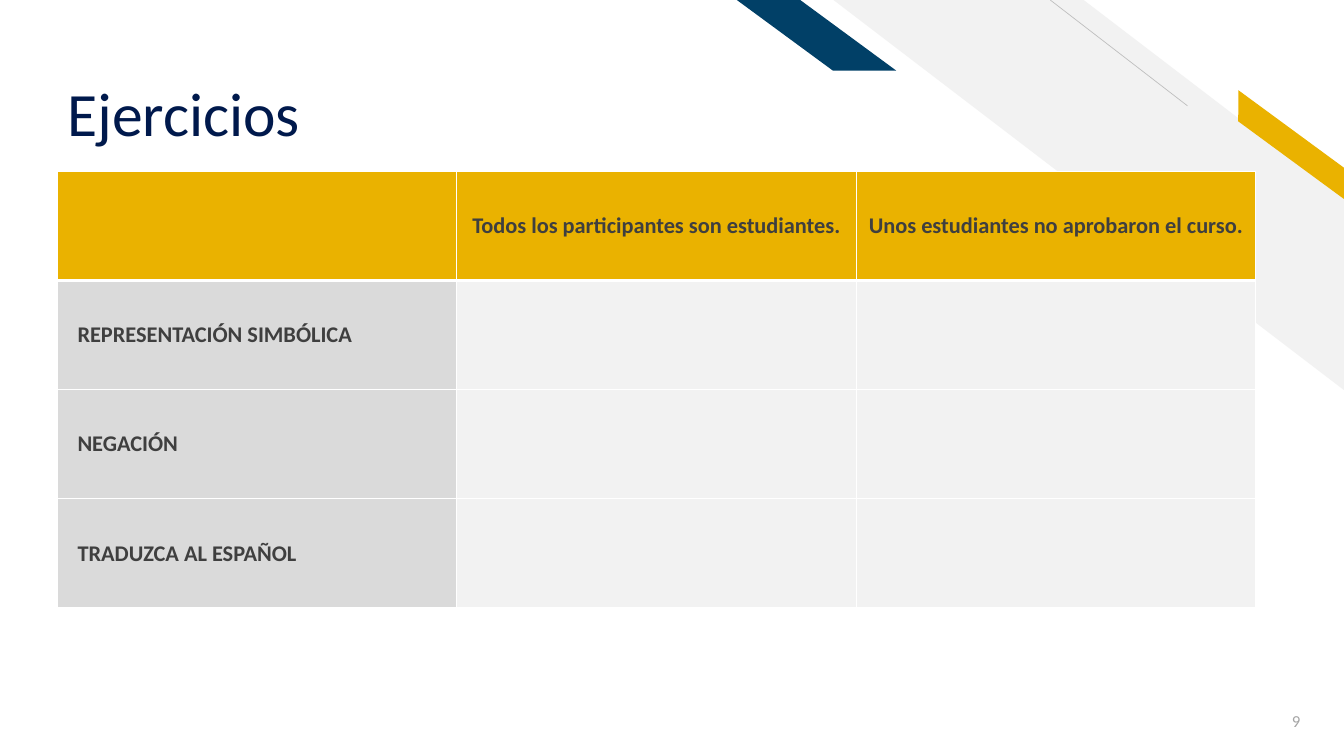
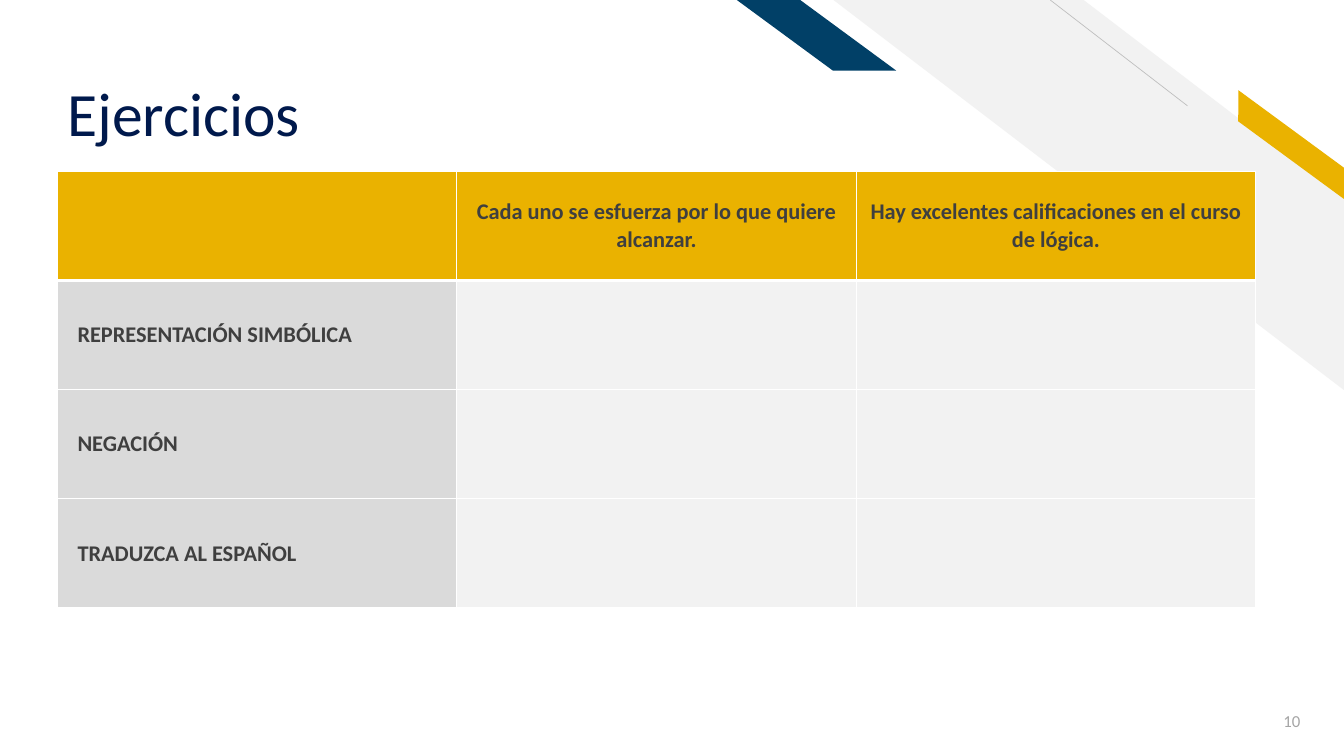
from dataclasses import dataclass

from lxml.etree import SubElement
from pptx import Presentation
from pptx.dml.color import RGBColor
from pptx.enum.shapes import MSO_CONNECTOR, MSO_SHAPE
from pptx.enum.text import MSO_ANCHOR, PP_ALIGN
from pptx.oxml.ns import qn
from pptx.slide import Slide
from pptx.table import _Cell
from pptx.text.text import TextFrame
from pptx.util import Pt


# Theme: colours and type sizes
@dataclass(frozen=True)
class Theme:
    navy: str = "00194C"
    blue: str = "014067"
    gold: str = "EAB200"
    white: str = "FFFFFF"
    pale: str = "F2F2F2"
    label_fill: str = "DADADA"
    rule: str = "BFBFBF"
    text: str = "3F3F3F"
    muted: str = "A5A5A5"
    font: str = "Calibri"
    title_size: float = 44
    table_size: float = 16
    number_size: float = 12


THEME = Theme()


@dataclass(frozen=True)
class Style:
    size: float
    color: str
    bold: bool = False


TITLE = Style(THEME.title_size, THEME.navy)
TABLE_TEXT = Style(THEME.table_size, THEME.text, bold=True)
PAGE_NUMBER = Style(THEME.number_size, THEME.muted)


@dataclass(frozen=True)
class Area:
    left: float
    top: float
    width: float
    height: float

    def points(self) -> tuple[Pt, Pt, Pt, Pt]:
        return Pt(self.left), Pt(self.top), Pt(self.width), Pt(self.height)


@dataclass(frozen=True)
class Band:
    kind: MSO_SHAPE
    area: Area
    slant: float
    color: str
    rotation: float = 0


@dataclass(frozen=True)
class Exercise:
    number: int
    statements: tuple[str, str]


# Shared layout
STRIPE = Band(MSO_SHAPE.DIAGONAL_STRIPE, Area(595.4, 0, 364.6, 278.6), 0.51, THEME.pale)
ACCENTS = (
    Band(MSO_SHAPE.PARALLELOGRAM, Area(869, 94.3, 106.6, 18), 0.72, THEME.gold, 36.3),
    Band(MSO_SHAPE.PARALLELOGRAM, Area(526.3, 0, 113.8, 50.4), 1.36, THEME.blue),
)
TITLE_AREA = Area(41, 16.6, 656, 90.7)
NUMBER_AREA = Area(877.7, 500.4, 58.3, 28.8)
TABLE_AREA = Area(41, 122.4, 856, 312)

# Content
HEADING = "Ejercicios"
ROW_LABELS = ("REPRESENTACIÓN SIMBÓLICA", "NEGACIÓN", "TRADUZCA AL ESPAÑOL")
EXERCISES = (
    Exercise(9, (
        "Todos los participantes son estudiantes.",
        "Unos estudiantes no aprobaron el curso.",
    )),
    Exercise(10, (
        "Cada uno se esfuerza por lo que quiere alcanzar.",
        "Hay excelentes calificaciones en el curso de lógica.",
    )),
)


def write(frame: TextFrame, text: str, style: Style,
          align: PP_ALIGN = PP_ALIGN.LEFT, spacing: float = 1) -> None:
    para = frame.paragraphs[0]
    para.alignment = align
    para.line_spacing = spacing
    span = para.add_run()
    span.text = text
    span.font.name = THEME.font
    span.font.size = Pt(style.size)
    span.font.bold = style.bold
    span.font.color.rgb = RGBColor.from_string(style.color)


def add_text(page: Slide, area: Area, anchor: MSO_ANCHOR) -> TextFrame:
    frame = page.shapes.add_textbox(*area.points()).text_frame
    frame.word_wrap = True
    frame.vertical_anchor = anchor
    return frame


def add_band(page: Slide, band: Band) -> None:
    shape = page.shapes.add_shape(band.kind, *band.area.points())
    shape.adjustments[0] = band.slant
    shape.rotation = band.rotation
    shape.shadow.inherit = False
    shape.fill.solid()
    shape.fill.fore_color.rgb = RGBColor.from_string(band.color)
    shape.line.fill.background()
    shape._element.spPr.find(qn("a:xfrm")).set("flipH", "1")


def add_rule(page: Slide) -> None:
    rule = page.shapes.add_connector(
        MSO_CONNECTOR.STRAIGHT, Pt(848.2), Pt(75.6), Pt(750.2), Pt(0))
    rule.line.color.rgb = RGBColor.from_string(THEME.rule)
    rule.line.width = Pt(0.5)
    SubElement(rule._element.spPr, qn("a:effectLst"))


def add_frame(page: Slide, number: int) -> None:
    # Diagonal bands
    add_band(page, STRIPE)
    add_rule(page)
    for band in ACCENTS:
        add_band(page, band)

    # Title and page number
    title = add_text(page, TITLE_AREA, MSO_ANCHOR.BOTTOM)
    title.margin_bottom = Pt(0)
    write(title, HEADING, TITLE, spacing=0.9)
    footer = add_text(page, NUMBER_AREA, MSO_ANCHOR.MIDDLE)
    write(footer, str(number), PAGE_NUMBER, PP_ALIGN.RIGHT)


def style_cell(cell: _Cell, color: str, top: float, bottom: float) -> None:
    properties = cell._tc.get_or_add_tcPr()
    for side, width in (("L", 1), ("R", 1), ("T", top), ("B", bottom)):
        border = SubElement(properties, qn(f"a:ln{side}"), w=str(Pt(width)))
        fill = SubElement(border, qn("a:solidFill"))
        SubElement(fill, qn("a:srgbClr"), val=THEME.white)
    cell.fill.solid()
    cell.fill.fore_color.rgb = RGBColor.from_string(color)
    cell.vertical_anchor = MSO_ANCHOR.MIDDLE


def add_exercise_table(page: Slide, statements: tuple[str, str]) -> None:
    rows = [("", *statements)] + [(label, "", "") for label in ROW_LABELS]
    table = page.shapes.add_table(len(rows), len(rows[0]), *TABLE_AREA.points()).table
    table.horz_banding = False
    for column in table.columns:
        column.width = Pt(TABLE_AREA.width / len(rows[0]))
    for row_index, texts in enumerate(rows):
        table.rows[row_index].height = Pt(TABLE_AREA.height / len(rows))
        header = row_index == 0
        for column_index, text in enumerate(texts):
            cell = table.cell(row_index, column_index)
            label = column_index == 0 and not header
            color = THEME.gold if header else THEME.label_fill if label else THEME.pale
            style_cell(cell, color, 3 if row_index == 1 else 1, 3 if header else 1)
            if label:
                cell.margin_left = Pt(14.4)
            if text:
                write(cell.text_frame, text, TABLE_TEXT,
                      PP_ALIGN.CENTER if header else PP_ALIGN.LEFT)


def main() -> None:
    deck = Presentation()
    deck.slide_width, deck.slide_height = Pt(960), Pt(540)
    blank = deck.slide_layouts[6]
    for exercise in EXERCISES:
        page = deck.slides.add_slide(blank)
        add_frame(page, exercise.number)
        add_exercise_table(page, exercise.statements)
    deck.save("out.pptx")


if __name__ == "__main__":
    main()
